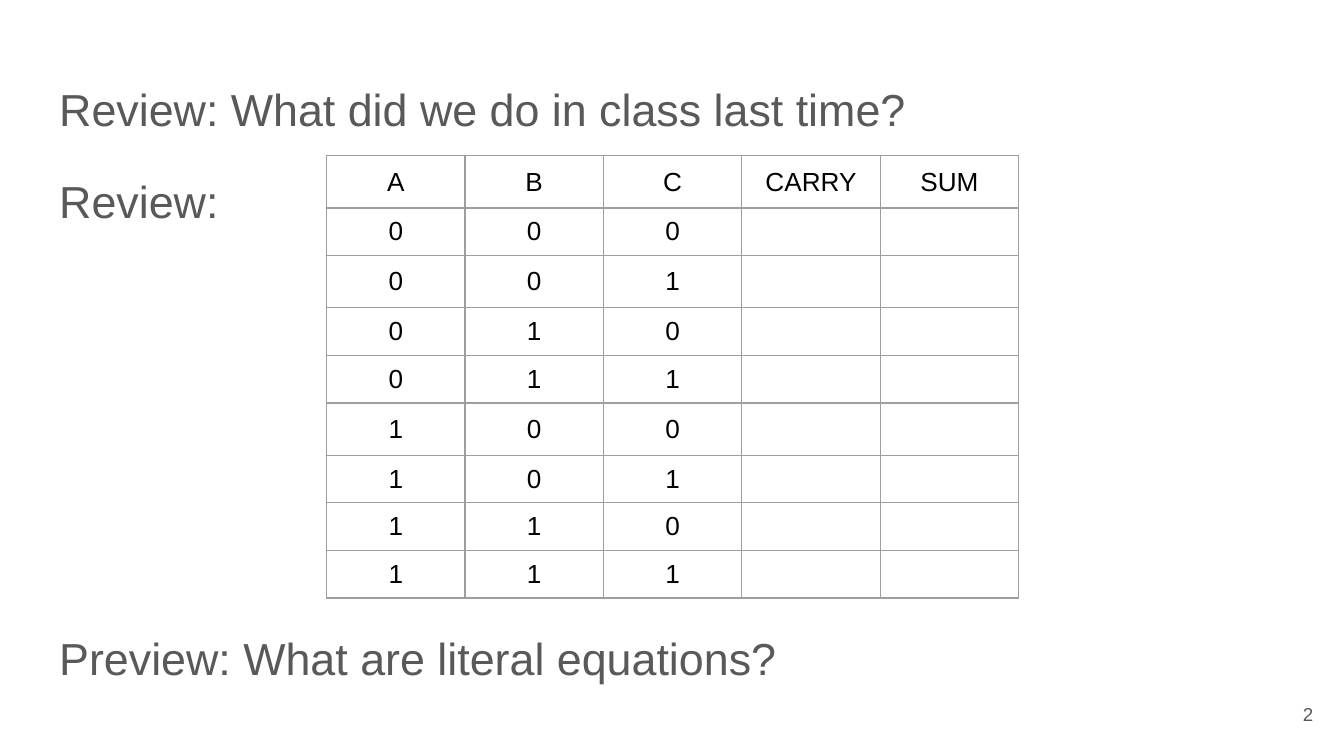
from dataclasses import dataclass
from itertools import product

from lxml import etree
from pptx import Presentation
from pptx.dml.color import RGBColor
from pptx.enum import text
from pptx.oxml import ns
from pptx.util import Inches, Pt


@dataclass(frozen=True)
class Theme:
    font: str = "Arial"
    gray: str = "595959"
    black: str = "000000"
    border: str = "9E9E9E"
    body: int = 24
    cell: int = 14
    number: int = 10
    border_width: float = 0.75
    tall_row: float = 28
    short_row: float = 25.5


THEME = Theme()
HEADERS = ["A", "B", "C", "CARRY", "SUM"]
TALL_ROWS = (0, 2, 5)
AGENDA = [
    ("Review: What did we do in class last time?", 0),
    ("Review:", 16),
    ("Preview: What are literal equations?", 212),
]


def set_attrs(obj, values):
    for name, value in values.items():
        setattr(obj, name, value)


def style_run(r, size, color):
    set_attrs(r.font, {"name": THEME.font, "size": Pt(size), "bold": False})
    r.font.color.rgb = RGBColor.from_string(color)


def set_margins(obj, inset):
    sides = ("left", "top", "right", "bottom")
    set_attrs(obj, {f"margin_{side}": Inches(inset) for side in sides})


def place(sp, box):
    names = ("left", "top", "width", "height")
    set_attrs(sp, dict(zip(names, map(Inches, box))))


def add_agenda(s, box):
    sp = s.placeholders[1]
    place(sp, box)
    tf = sp.text_frame
    set_margins(tf, 0.1)
    set_attrs(tf, {
        "word_wrap": True,
        "auto_size": text.MSO_AUTO_SIZE.NONE,
        "vertical_anchor": text.MSO_ANCHOR.TOP,
    })
    for i, (line, gap) in enumerate(AGENDA):
        p = tf.add_paragraph() if i else tf.paragraphs[0]
        set_attrs(p, {
            "line_spacing": 1.15,
            "space_before": Pt(gap),
            "space_after": Pt(0),
            "alignment": text.PP_ALIGN.LEFT,
        })
        pPr = p._p.get_or_add_pPr()
        pPr.set("marL", "0")
        pPr.set("indent", "0")
        etree.SubElement(pPr, ns.qn("a:buNone"))
        r = p.add_run()
        r.text = line
        style_run(r, THEME.body, THEME.gray)


def add_slide_number(s, box, number):
    tf = s.shapes.add_textbox(*map(Inches, box)).text_frame
    set_margins(tf, 0.1)
    set_attrs(tf, {"word_wrap": True, "vertical_anchor": text.MSO_ANCHOR.MIDDLE})
    p = tf.paragraphs[0]
    p.alignment = text.PP_ALIGN.RIGHT
    r = p.add_run()
    r.text = str(number)
    style_run(r, THEME.number, THEME.gray)


def add_borders(cell):
    tcPr = cell._tc.get_or_add_tcPr()
    for i, side in enumerate(("lnL", "lnR", "lnT", "lnB")):
        ln = etree.Element(ns.qn(f"a:{side}"), w=str(Pt(THEME.border_width)))
        fill = etree.SubElement(ln, ns.qn("a:solidFill"))
        etree.SubElement(fill, ns.qn("a:srgbClr"), val=THEME.border)
        tcPr.insert(i, ln)


def add_truth_table(s, box):
    rows = [HEADERS] + [[*bits, "", ""] for bits in product("01", repeat=3)]
    frame = s.shapes.add_table(len(rows), len(HEADERS), *map(Inches, box))
    table = frame.table
    set_attrs(table, {"first_row": False, "horz_banding": False})
    for column in table.columns:
        column.width = Inches(box[2] / len(HEADERS))
    for i, (row, values) in enumerate(zip(table.rows, rows)):
        row.height = Pt(THEME.tall_row if i in TALL_ROWS else THEME.short_row)
        for cell, value in zip(row.cells, values):
            cell.fill.background()
            add_borders(cell)
            set_margins(cell, 0.01)
            cell.vertical_anchor = text.MSO_ANCHOR.MIDDLE
            p = cell.text_frame.paragraphs[0]
            p.alignment = text.PP_ALIGN.CENTER
            if value:
                r = p.add_run()
                r.text = value
                style_run(r, THEME.cell, THEME.black)


def main():
    prs = Presentation()
    width = Inches(10)
    set_attrs(prs, {"slide_width": width, "slide_height": width * 9 // 16})
    s = prs.slides.add_slide(prs.slide_layouts[1])
    title = s.shapes.title._element
    title.getparent().remove(title)
    add_agenda(s, (0.34, 0.45, 9.32, 4.55))
    add_slide_number(s, (9.27, 5.1, 0.6, 0.43), 2)
    add_truth_table(s, (2.43, 1.16, 5.15, 3.29))
    prs.save("out.pptx")


if __name__ == "__main__":
    main()
